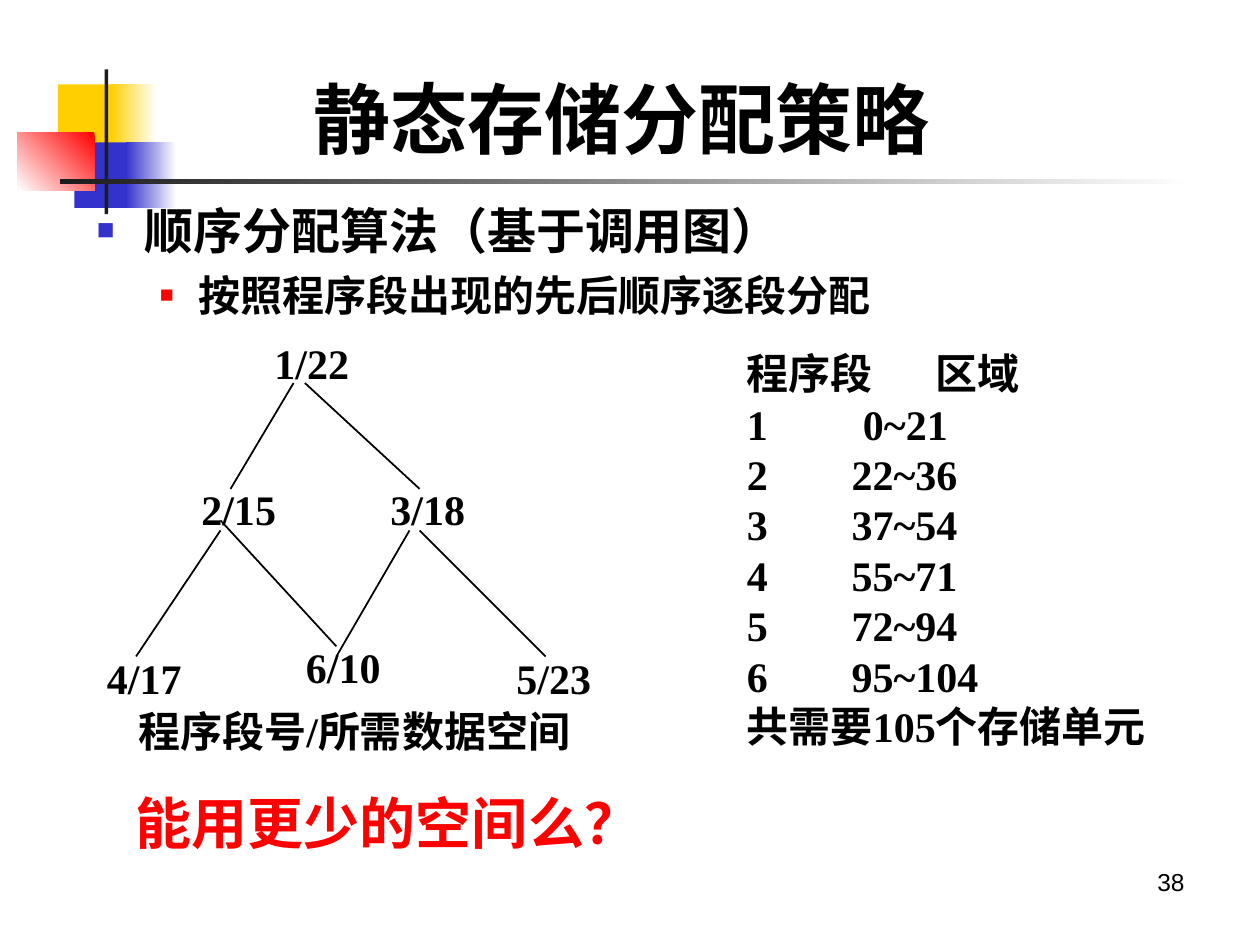
from dataclasses import dataclass
from typing import Optional

import pptx
import pptx.dml.color
import pptx.enum.dml
import pptx.enum.shapes
import pptx.enum.text
import pptx.oxml.ns
import pptx.util
from lxml import etree

Inches, Pt = pptx.util.Inches, pptx.util.Pt
qn = pptx.oxml.ns.qn
ALIGN = pptx.enum.text.PP_ALIGN


@dataclass(frozen=True)
class Theme:
    serif: str = "Times New Roman"
    sans: str = "Arial"
    black: str = "000000"
    white: str = "FFFFFF"
    red: str = "FF0000"
    blue: str = "3333CC"
    yellow: str = "FFCF01"
    dark: str = "1C1C1C"
    title: int = 44
    question: int = 32
    heading: int = 28
    body: int = 24
    number: int = 14
    leading: float = 1.2


T = Theme()


@dataclass(frozen=True)
class Block:
    left: float
    top: float
    width: float
    height: float
    color: str
    fade_to: Optional[str] = None
    angle: int = 180


@dataclass(frozen=True)
class Node:
    text: str
    left: float
    top: float
    width: float


@dataclass(frozen=True)
class Edge:
    x1: float
    y1: float
    x2: float
    y2: float


BLOCKS = [
    Block(0.46, 0.67, 0.48, 0.52, T.yellow),
    Block(0.88, 0.67, 0.36, 0.52, T.white, T.yellow),
    Block(0.59, 1.13, 0.46, 0.52, T.blue),
    Block(1, 1.13, 0.4, 0.52, T.white, T.blue),
    Block(0.14, 1.05, 0.61, 0.46, T.red, T.white, 225),
    Block(0.83, 0.55, 0.03, 1.15, T.dark),
    Block(0.48, 1.42, 9, 0.04, T.white, T.dark),
]
NODES = [
    Node("1/22", 2.08, 2.63, 1),
    Node("2/15", 1.5, 3.79, 0.83),
    Node("3/18", 3, 3.79, 1.08),
    Node("4/17", 0.75, 5.13, 0.92),
    Node("6/10", 2.33, 5.04, 1),
    Node("5/23", 4, 5.13, 0.92),
]
EDGES = [
    Edge(2.33, 3.04, 1.83, 3.88),
    Edge(2.42, 3.04, 3.33, 3.88),
    Edge(1.75, 4.21, 1.08, 5.21),
    Edge(1.75, 4.13, 2.67, 5.13),
    Edge(3.25, 4.21, 2.67, 5.21),
    Edge(3.33, 4.21, 4.33, 5.21),
]
REGIONS = ["0~21", "22~36", "37~54", "55~71", "72~94", "95~104"]


def rgb(color: str):
    return pptx.dml.color.RGBColor.from_string(color)


def add_block(shapes, b: Block) -> None:
    sp = shapes.add_shape(pptx.enum.shapes.MSO_SHAPE.RECTANGLE, Inches(b.left),
                          Inches(b.top), Inches(b.width), Inches(b.height))
    sp.shadow.inherit = False
    sp.line.fill.background()
    if b.fade_to is None:
        sp.fill.solid()
        sp.fill.fore_color.rgb = rgb(b.color)
        return
    sp.fill.gradient()
    sp.fill.gradient_angle = b.angle
    for stop, color in zip(sp.fill.gradient_stops, (b.color, b.fade_to)):
        stop.color.rgb = rgb(color)


def add_edge(shapes, e: Edge) -> None:
    line = shapes.add_connector(pptx.enum.shapes.MSO_CONNECTOR.STRAIGHT, Inches(e.x1),
                                Inches(e.y1), Inches(e.x2), Inches(e.y2))
    line.line.color.rgb = rgb(T.black)
    line.line.width = Pt(1)
    etree.SubElement(line._element.spPr, qn("a:effectLst"))


def add_box(shapes, left: float, top: float, width: float, height: float,
            middle: bool = False):
    tf = shapes.add_textbox(Inches(left), Inches(top), Inches(width),
                            Inches(height)).text_frame
    tf.word_wrap = True
    if middle:
        tf.vertical_anchor = pptx.enum.text.MSO_ANCHOR.MIDDLE
    return tf


def write(tf, text: str, *, size: int = T.body, font: str = T.serif, color: str = T.black,
          bold: bool = True, align=ALIGN.LEFT, before: float = 0, margin: float = 0,
          hanging: float = 0, level: int = 0, bullet: Optional[str] = None,
          bullet_size: int = 100, number: int = 0, tab: float = 0) -> None:
    first = tf.paragraphs[0]
    p = tf.add_paragraph() if first.runs else first
    p.level = level
    p.alignment = align
    p.space_before = Pt(before)
    p.line_spacing = Pt(size * T.leading)
    pPr = p._p.get_or_add_pPr()
    pPr.set("marL", str(Inches(margin)))
    pPr.set("indent", str(-Inches(hanging)))
    if bullet or number:
        clr = etree.SubElement(pPr, qn("a:buClr"))
        etree.SubElement(clr, qn("a:srgbClr"), val=bullet or color)
        etree.SubElement(pPr, qn("a:buSzPct"), val=str(bullet_size * 1000))
        etree.SubElement(pPr, qn("a:buFont"), typeface=font)
    if bullet:
        etree.SubElement(pPr, qn("a:buChar"), char="■")
    elif number:
        etree.SubElement(pPr, qn("a:buAutoNum"), type="arabicPlain", startAt=str(number))
    if tab:
        tabs = etree.SubElement(pPr, qn("a:tabLst"))
        etree.SubElement(tabs, qn("a:tab"), pos=str(Inches(tab)), algn="l")
    r = p.add_run()
    r.text = text
    r.font.size = Pt(size)
    r.font.name = font
    r.font.bold = bold
    r.font.color.rgb = rgb(color)


def main() -> None:
    prs = pptx.Presentation()
    prs.slide_width, prs.slide_height = Inches(10), Inches(7.5)
    s = prs.slides.add_slide(prs.slide_layouts[6])

    # Corner ornament and rule
    for block in BLOCKS:
        add_block(s.shapes, block)

    # Slide number, title and outline
    write(add_box(s.shapes, 7.17, 6.83, 2.33, 0.52), "38", size=T.number, font=T.sans,
          bold=False, align=ALIGN.RIGHT)
    write(add_box(s.shapes, 2.39, 0.48, 5.13, 0.91, middle=True), "静态存储分配策略",
          size=T.title)
    tf = add_box(s.shapes, 0.67, 1.54, 8.91, 1.17)
    write(tf, "顺序分配算法（基于调用图）", size=T.heading, margin=0.38, hanging=0.38,
          bullet=T.blue, bullet_size=60)
    write(tf, "按照程序段出现的先后顺序逐段分配", before=6, margin=0.81, hanging=0.31,
          level=1, bullet=T.red, bullet_size=55)

    # Call graph
    graph = s.shapes.add_group_shape().shapes
    for node in NODES:
        write(add_box(graph, node.left, node.top, node.width, 0.5), node.text)
    for edge in EDGES:
        add_edge(graph, edge)

    # Allocated regions; the one-digit start is set in a little
    tf = add_box(s.shapes, 5.83, 2.71, 3.58, 3.3)
    write(tf, "程序段\t区域", tab=1.16)
    for i, region in enumerate(REGIONS, 1):
        margin = 0.92 if i == 1 else 0.83
        write(tf, region, margin=margin, hanging=margin, number=i)
    write(tf, "共需要105个存储单元")

    # Legend and question
    write(add_box(s.shapes, 1, 5.55, 3.83, 0.5), "程序段号/所需数据空间")
    write(add_box(s.shapes, 0.98, 6.21, 5.05, 0.64), "能用更少的空间么？",
          size=T.question, color=T.red)

    prs.save("out.pptx")


if __name__ == "__main__":
    main()
